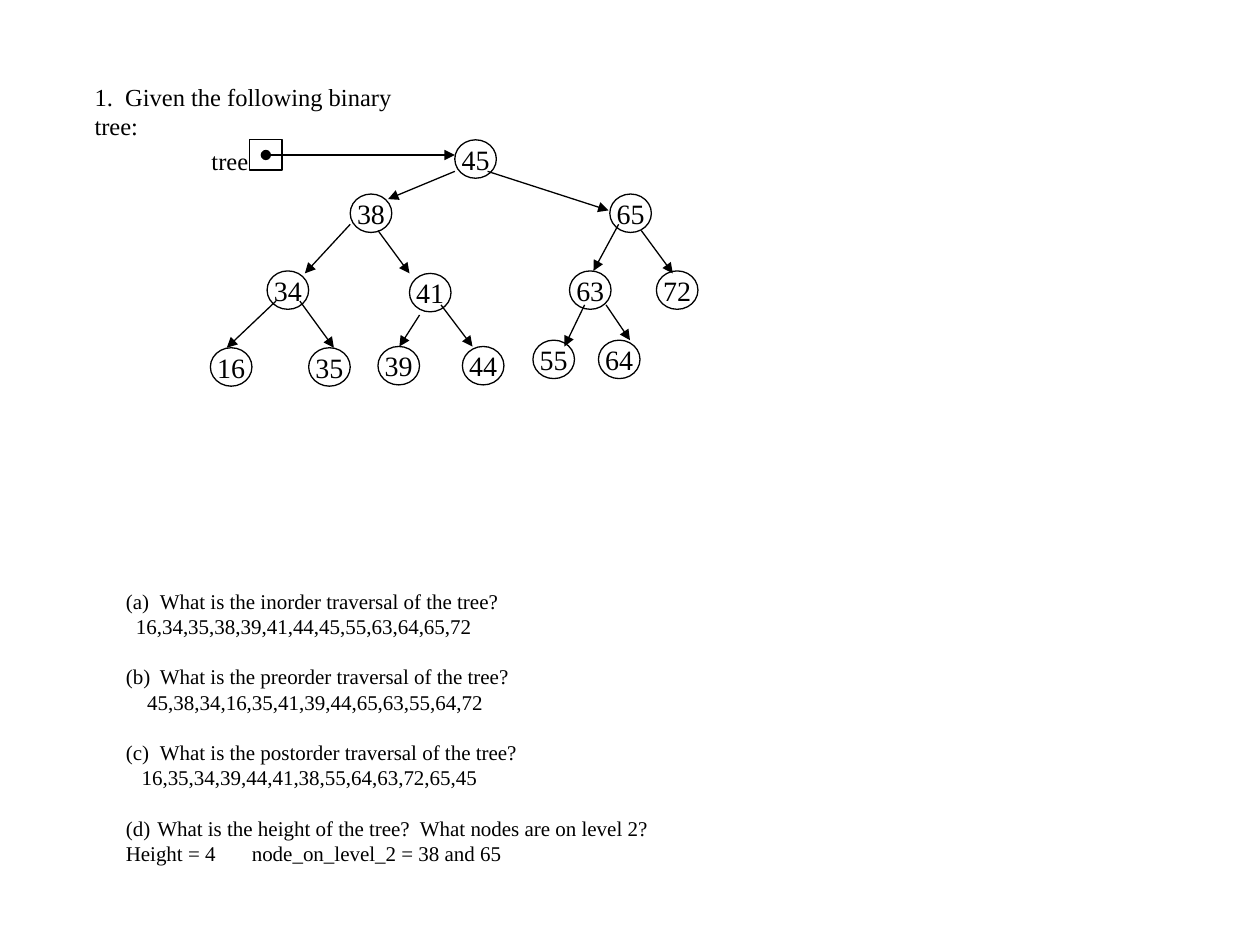
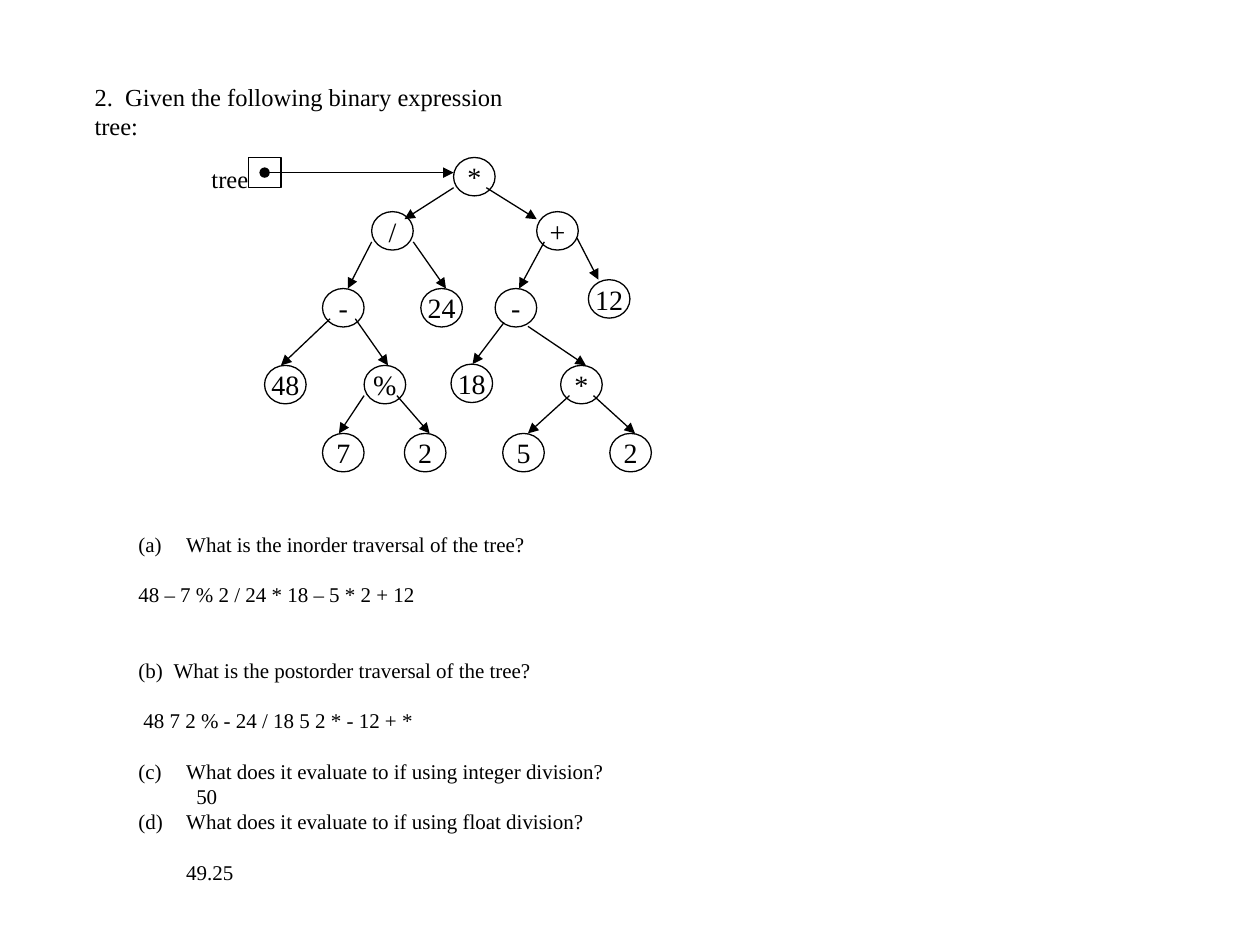
from pptx import Presentation
from pptx import util as u
from pptx.dml.color import RGBColor
from pptx.enum import shapes, text
from pptx.oxml.ns import qn
from lxml import etree

# Shared look; positions are columns and rows of a 1000 x 750 grid
COLS, ROWS = 1000, 750
CELL = u.Inches(10) // COLS
FONT, INK = "Times New Roman", "000000"
TITLE_PT, BODY_PT, NODE_PT = 14, 12, 16
LEADING = 1.2
NODE_W, NODE_H = 33, 30.5
BOX_W, BOX_H = 26, 24
TITLE_AT = (65, 60)

# Search tree: nodes (label, col, row) and arrows (col, row, col, row)
SEARCH_NODES = [
    ("45", 361, 111), ("38", 278, 154), ("65", 484, 154),
    ("34", 212, 215), ("41", 325, 217), ("63", 452, 215), ("72", 521, 215),
    ("16", 167, 276), ("35", 245, 276), ("39", 300, 275), ("44", 367, 275),
    ("55", 423, 270), ("64", 475, 270),
]
SEARCH_ARROWS = [
    (361, 136, 308, 158), (387, 136, 483, 167),
    (278, 178, 242, 217), (300, 183, 325, 217),
    (491, 178, 471, 215), (509, 183, 534, 217),
    (219, 239, 180, 276), (238, 239, 265, 276),
    (333, 250, 317, 275), (350, 242, 375, 275),
    (464, 242, 448, 275), (481, 242, 500, 270),
]

# Expression tree
EXPRESSION_NODES = [
    ("*", 360, 125), ("/", 295, 168), ("+", 426, 168),
    ("-", 256, 229), ("24", 334, 229), ("-", 393, 229), ("12", 467, 222),
    ("48", 210, 290), ("%", 289, 290), ("18", 358, 289), ("*", 445, 290),
    ("7", 256, 344), ("2", 321, 344), ("5", 399, 344), ("2", 484, 344),
]
EXPRESSION_ARROWS = [
    (360, 149, 321, 174), (386, 149, 426, 174),
    (295, 192, 276, 229), (328, 192, 354, 229),
    (432, 192, 412, 229), (458, 189, 475, 222),
    (262, 253, 223, 290), (282, 253, 308, 290),
    (400, 256, 375, 289), (419, 259, 465, 290),
    (289, 314, 269, 344), (315, 314, 341, 344),
    (452, 314, 419, 344), (471, 314, 504, 344),
]

# Questions: (number or None, text, lines skipped before, left margin)
SEARCH_QUESTIONS = [
    (1, "What is the inorder traversal of the tree?", 0, 27),
    (None, "16,34,35,38,39,41,44,45,55,63,64,65,72", 0, 8),
    (2, "What is the preorder traversal of the tree?", 1, 27),
    (None, "45,38,34,16,35,41,39,44,65,63,55,64,72", 0, 17),
    (3, "What is the postorder traversal of the tree?", 1, 27),
    (None, "16,35,34,39,44,41,38,55,64,63,72,65,45", 0, 12.5),
    (4, "What is the height of the tree?  What nodes are on level 2?", 1, 25),
    (None, "Height = 4\tnode_on_level_2 = 38 and 65", 0, 0),
]
EXPRESSION_QUESTIONS = [
    (1, "What is the inorder traversal of the tree?", 0, 38),
    (None, "48 – 7 % 2 / 24 * 18 – 5 * 2 + 12", 1, 0),
    (2, "What is the postorder traversal of the tree?", 2, 28),
    (None, "48 7 2 % - 24 / 18 5 2 * - 12 + *", 1, 4),
    (3, "What does it evaluate to if using integer division?", 1, 38),
    (None, "50", 0, 46),
    (4, "What does it evaluate to if using float division?", 0, 38),
    (None, "49.25", 1, 38),
]
ANSWER_TAB = 96


def cells(*values):
    return [u.Emu(round(v * CELL)) for v in values]


def color(value):
    return RGBColor.from_string(value)


def style(p, size, align=text.PP_ALIGN.LEFT):
    p.alignment = align
    p.line_spacing = u.Pt(size * LEADING)
    p.font.name, p.font.size = FONT, u.Pt(size)
    p.font.color.rgb = color(INK)


def frame(sp, wrap=True):
    tf = sp.text_frame
    tf.word_wrap = wrap
    tf.auto_size = text.MSO_AUTO_SIZE.NONE
    tf.vertical_anchor = text.MSO_ANCHOR.TOP
    return tf


def add_title(slide, words, width):
    sp = slide.shapes.title
    sp.left, sp.top, sp.width, sp.height = cells(*TITLE_AT, width, 33)
    tf = frame(sp)
    tf.text = words
    style(tf.paragraphs[0], TITLE_PT)


def add_outline(group, kind, *box):
    sp = group.add_shape(kind, *cells(*box))
    sp.shadow.inherit = False
    sp.fill.background()
    sp.line.color.rgb, sp.line.width = color(INK), u.Pt(0.75)
    return sp


def add_node(group, label, col, row):
    sp = add_outline(group, shapes.MSO_SHAPE.OVAL, col, row, NODE_W, NODE_H)
    tf = frame(sp, wrap=False)
    tf.vertical_anchor = text.MSO_ANCHOR.MIDDLE
    tf.margin_left = tf.margin_right = tf.margin_top = tf.margin_bottom = 0
    tf.text = label
    style(tf.paragraphs[0], NODE_PT, text.PP_ALIGN.CENTER)


def add_arrow(group, *ends, head=None):
    line = group.add_connector(shapes.MSO_CONNECTOR.STRAIGHT, *cells(*ends))
    line.line.color.rgb, line.line.width = color(INK), u.Pt(0.75)
    ln = line.line._get_or_add_ln()
    if head:
        etree.SubElement(ln, qn("a:headEnd"), type=head)
    etree.SubElement(ln, qn("a:tailEnd"), type="triangle")
    etree.SubElement(ln.getparent(), qn("a:effectLst"))


def add_tree(slide, nodes, arrows):
    group = slide.shapes.add_group_shape().shapes
    for node in nodes:
        add_node(group, *node)
    for ends in arrows:
        add_arrow(group, *ends)
    # Pointer variable that refers to the root
    _, root_col, top = nodes[0]
    box_col = root_col - 163
    add_outline(group, shapes.MSO_SHAPE.RECTANGLE, box_col, top, BOX_W, BOX_H)
    tf = frame(group.add_textbox(*cells(158, top, 49, 33)), wrap=False)
    tf.text = "tree"
    style(tf.paragraphs[0], TITLE_PT)
    middle = top + BOX_H / 2
    add_arrow(group, box_col + BOX_W / 2, middle, root_col, middle, head="oval")


def add_questions(slide, items, *box):
    tf = frame(slide.shapes.add_textbox(*cells(*box)))
    for i, (number, words, skipped, margin) in enumerate(items):
        p = tf.add_paragraph() if i else tf.paragraphs[0]
        p.text = words
        style(p, BODY_PT)
        p.space_before = u.Pt(skipped * BODY_PT * LEADING)
        pPr = p._p.get_or_add_pPr()
        left = cells(margin)[0]
        pPr.set("marL", str(left))
        pPr.set("indent", str(-left if number else 0))
        if number:
            bullet = etree.Element(qn("a:buAutoNum"), type="alphaLcParenBoth",
                                   startAt=str(number))
            pPr.find(qn("a:spcBef")).addnext(bullet)
        if "\t" in words:
            tabs = etree.Element(qn("a:tabLst"))
            etree.SubElement(tabs, qn("a:tab"), algn="l",
                             pos=str(cells(ANSWER_TAB)[0]))
            pPr.find(qn("a:spcBef")).addnext(tabs)


def main():
    prs = Presentation()
    prs.slide_width, prs.slide_height = cells(COLS, ROWS)
    title_only = prs.slide_layouts[5]

    # Binary search tree
    s = prs.slides.add_slide(title_only)
    add_title(s, "1.  Given the following binary tree:", 294)
    add_questions(s, SEARCH_QUESTIONS, 90, 462, 529, 232)
    add_tree(s, SEARCH_NODES, SEARCH_ARROWS)

    # Binary expression tree
    s = prs.slides.add_slide(title_only)
    add_title(s, "2.  Given the following binary expression tree:", 382)
    add_questions(s, EXPRESSION_QUESTIONS, 100, 417, 430, 313)
    add_tree(s, EXPRESSION_NODES, EXPRESSION_ARROWS)

    prs.save("out.pptx")


main()
